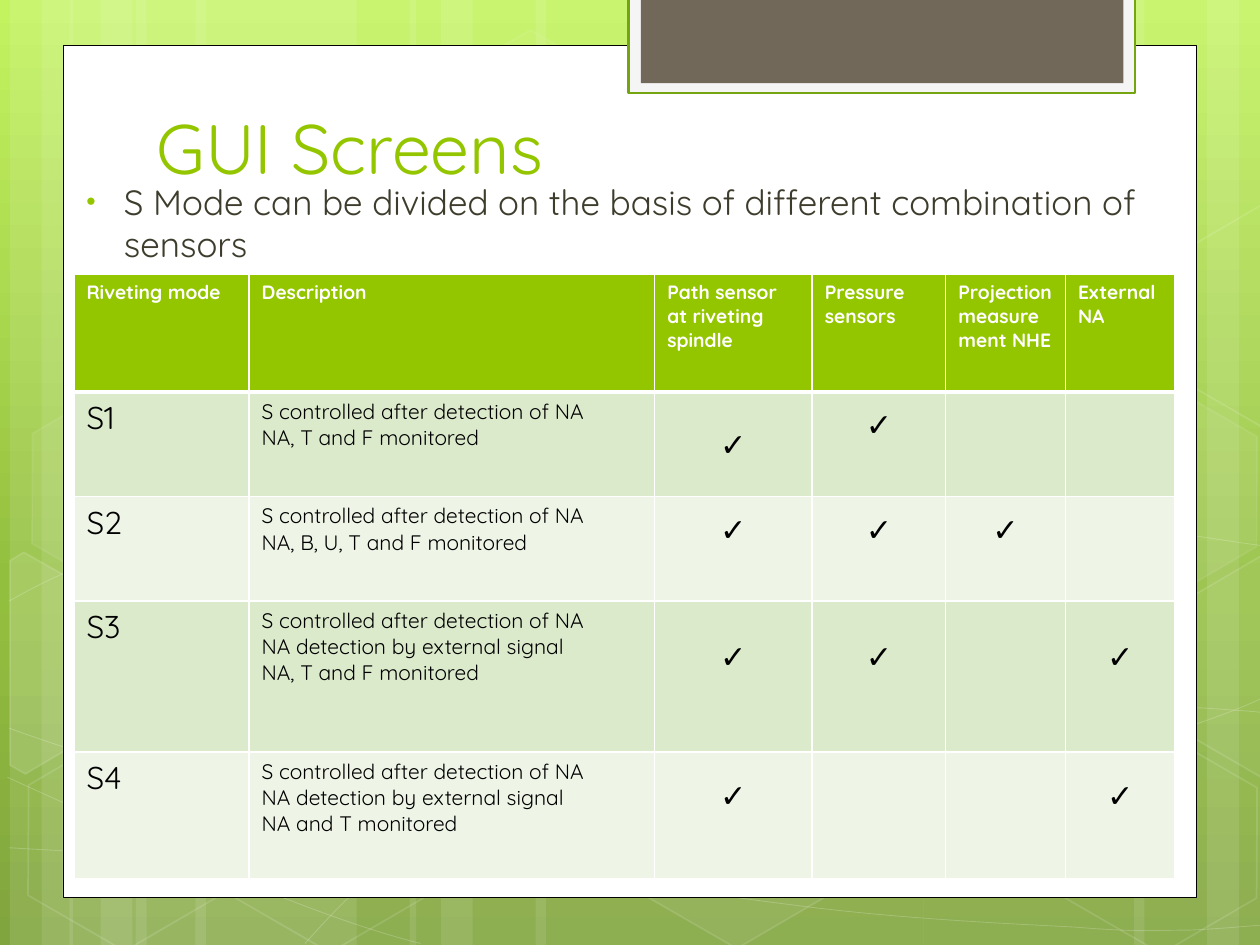
from copy import deepcopy
from math import cos, radians, sin

from lxml.etree import SubElement
from pptx import Presentation
from pptx.dml.color import RGBColor
from pptx.enum.shapes import MSO_SHAPE
from pptx.enum.text import MSO_ANCHOR, PP_ALIGN
from pptx.oxml.ns import qn
from pptx.util import Cm, Pt

FONT = "Quicksand"
GREEN = RGBColor(0x94, 0xC6, 0x00)
DARK_GREEN = RGBColor(0x74, 0xA5, 0x10)
WHITE = RGBColor(0xFF, 0xFF, 0xFF)
BLACK = RGBColor(0, 0, 0)
OFF_WHITE = RGBColor(0xF5, 0xF5, 0xF5)
TAUPE = RGBColor(0x71, 0x68, 0x5A)
INK = RGBColor(0x3E, 0x3D, 0x2D)
ROW_FILLS = RGBColor(0xDC, 0xEA, 0xCC), RGBColor(0xEE, 0xF5, 0xE7)
SKY = (RGBColor(0xC3, 0xF3, 0x5F), 0), (RGBColor(0x93, 0xBF, 0x3F), 0.62), (RGBColor(0x81, 0xA5, 0x3E), 1)

WIDTH, HEIGHT = 25.4, 19.05
TILT = 30
BAND_GROUPS = [
    [(2.74, 4.45), (0.2, 1.27), (0.84, 2.12)],
    [(3.94, 4.45), (1.4, 1.27), (2.03, 2.12)],
    [(18.62, 4.45), (24.33, 1.27), (22.86, 2.12)],
    [(10.8, 7.83), (8.26, 1.27), (8.89, 2.12)],
]
# Each curve is a start point followed by Bezier triples.
CURVES = [
    [(0.18, 17.09), (1.55, 17.17), (2.92, 17.25), (4.83, 17.22), (6.73, 17.2), (9.09, 17.15), (11.63, 16.89),
     (14.17, 16.64), (17.78, 16.15), (20.12, 15.67), (22.43, 15.19), (24.82, 14.43), (25.58, 14)],
    [(0.18, 12.12), (0.91, 11.71), (1.65, 11.33), (3.07, 10.95), (4.52, 10.57), (6.58, 10.01), (8.81, 9.83),
     (11.07, 9.65), (13.82, 9.63), (16.61, 9.83), (19.41, 10.03), (24.05, 10.82), (25.58, 11.02)],
    [(0.15, 15.67), (3.23, 17.07), (6.27, 18.47), (8.48, 19.02)],
    [(0.18, 14.68), (0.97, 14.96), (1.78, 15.24), (3.25, 15.65), (4.72, 16.03), (6.93, 16.66), (9.07, 17.09),
     (11.18, 17.53), (13.84, 17.98), (15.95, 18.24), (18.06, 18.52), (20.32, 18.62), (21.67, 18.69),
     (22.99, 18.8), (23.34, 18.75), (24, 18.75), (24.66, 18.72), (25.12, 18.67), (25.58, 18.64)],
    [(6.15, 19.02), (6.6, 18.52), (7.06, 18.01), (7.67, 17.55), (8.28, 17.09), (9.14, 16.59), (9.86, 16.23),
     (10.57, 15.88), (11, 15.72), (11.94, 15.47), (12.88, 15.21), (14.55, 14.86), (15.44, 14.68),
     (16.36, 14.5), (16.48, 14.5), (17.27, 14.45), (18.06, 14.38), (19.3, 14.3), (20.17, 14.27),
     (21.06, 14.25), (22.5, 14.27), (22.5, 14.27), (23.07, 14.27), (23.64, 14.27), (24.21, 14.27),
     (24.66, 14.3), (25.1, 14.33), (25.32, 14.35), (25.55, 14.38), (25.48, 14.35), (25.55, 14.38)],
]
# left, top, fill opacity, line opacity (percent)
HEXAGONS = [
    (8.48, 0.91, 4, 8), (12.62, 14.96, 6, 12), (0.28, 15.01, None, 12), (0.36, 7.92, 7, 8),
    (4.42, 15.04, None, 12), (19.13, 11.51, 10, 12), (21.18, 15.06, None, 12), (21.18, 7.98, 7, 8),
]
# Hexagons cut by the slide edge: corners as seen, and the centre they are tilted about
LEFT_CUT = [(0.2, 11.3), (0.48, 11.13), (2.44, 12.24), (2.41, 14.48), (0.51, 15.6), (0.2, 15.42)], (0.91, 13.59)
RIGHT_CUT = ([(23.52, 12.32), (25.43, 11.2), (25.63, 11.33), (25.63, 15.57), (25.45, 15.67), (23.52, 14.55)],
             (25.02, 13.21))

HEADERS = ["Riveting mode", "Description", "Path sensor at riveting spindle", "Pressure sensors",
           "Projection measurement NHE", "External NA"]
CONTROLLED = "S controlled after detection of NA"
EXTERNAL = "NA detection by external signal"
MODES = [  # name, description lines, columns with a check mark
    ("S1", [CONTROLLED, "NA, T and F monitored"], (2, 3)),
    ("S2", [CONTROLLED, "NA, B, U, T and F monitored"], (2, 3, 4)),
    ("S3", [CONTROLLED, EXTERNAL, "NA, T and F monitored"], (2, 3, 5)),
    ("S4", [CONTROLLED, EXTERNAL, "NA and T monitored"], (2, 5)),
]
COL_SHARES = [1.39, 3.22, 1.25, 1.06, 0.95, 0.87]
ROW_SHARES = [0.94, 0.83, 0.83, 1.2, 1.01]


def paint(fill, color, opacity=100):
    """Make a solid fill; opacity is in percent and None means no fill."""
    if opacity is None:
        fill.background()
        return
    fill.solid()
    fill.fore_color.rgb = color
    if opacity < 100:
        rgb = fill._xPr.find(qn("a:solidFill"))[0]
        SubElement(rgb, qn("a:alpha")).set("val", str(opacity * 1000))


def style(sp, color, opacity=100, line=None, width=1, line_opacity=100):
    sp.shadow.inherit = False
    paint(sp.fill, color, opacity)
    if line is None:
        sp.line.fill.background()
    else:
        sp.line.width = Pt(width)
        paint(sp.line.fill, line, line_opacity)


def add_box(s, box, color, kind=MSO_SHAPE.RECTANGLE, **look):
    sp = s.shapes.add_shape(kind, *map(Cm, box))
    style(sp, color, **look)
    return sp


def add_outline(s, points, close, **look):
    points = [(Cm(x), Cm(y)) for x, y in points]
    builder = s.shapes.build_freeform(*points[0])
    builder.add_line_segments(points[1:], close=close)
    sp = builder.convert_to_shape()
    style(sp, WHITE, line=WHITE, **look)
    return sp


def bend(sp):
    """Turn each three line segments into one Bezier curve."""
    path = next(sp._element.iter(qn("a:path")))
    lines = path.findall(qn("a:lnTo"))
    for i in range(0, len(lines), 3):
        curve = SubElement(path, qn("a:cubicBezTo"))
        for line in lines[i:i + 3]:
            curve.append(line[0])
            path.remove(line)


def turn_back(point, center):
    """Undo the tilt of a point about a centre."""
    dx, dy = point[0] - center[0], point[1] - center[1]
    c, k = cos(radians(TILT)), sin(radians(TILT))
    return center[0] + dx * c + dy * k, center[1] - dx * k + dy * c


def write(tf, lines, size, color, bold=False, align=None):
    for i, text in enumerate(lines):
        p = tf.paragraphs[0] if i == 0 else tf.add_paragraph()
        p.alignment = align
        r = p.add_run()
        r.text = text
        r.font.name, r.font.size, r.font.bold = FONT, Pt(size), bold
        r.font.color.rgb = color


def add_sky(s):
    fill = s.background.fill
    fill.gradient()
    fill.gradient_angle = 270
    first = fill.gradient_stops[0]._gs
    first.addnext(deepcopy(first))
    for stop, (color, position) in zip(fill.gradient_stops, SKY):
        stop.color.rgb = color
        stop.position = position


def add_decoration(s, box):
    x, y, _, h = box
    for left, width in (band for group in BAND_GROUPS for band in group):
        add_box(s, (x + left, y, width, h), WHITE, opacity=10)
    for nodes in CURVES:
        points = [(x + px, y + py) for px, py in nodes]
        bend(add_outline(s, points, False, opacity=None, width=0.5, line_opacity=20))
    for left, top, opacity, line_opacity in HEXAGONS:
        sp = add_box(s, (x + left, y + top, 4.45, 3.86), WHITE, MSO_SHAPE.HEXAGON,
                     opacity=opacity, line=WHITE, line_opacity=line_opacity)
        sp.adjustments[0], sp.adjustments[1] = 0.285, 1.155
        sp.rotation = TILT
    for (corners, center), rise, opacity in ((LEFT_CUT, 0, 10), (RIGHT_CUT, 0, 4), (RIGHT_CUT, 7.07, None)):
        flat = [turn_back(corner, center) for corner in corners]
        points = [(x + px, y + py - rise) for px, py in flat]
        add_outline(s, points, True, opacity=opacity, line_opacity=12).rotation = TILT


def add_panel(s, box):
    x, y, w, h = box
    add_box(s, box, WHITE, line=BLACK, width=0.5)
    add_box(s, (x + 11.4, y - 0.96, 10.21, 1.93), OFF_WHITE, line=DARK_GREEN, width=1.25)
    add_box(s, (x + 11.65, y - 0.96, 9.73, 1.73), TAUPE)


def place_title(s, box, text):
    title = s.shapes.title
    s.shapes._spTree.append(title._element)  # in front of the panel
    title.left, title.top, title.width, title.height = map(Cm, box)
    tf = title.text_frame
    tf.vertical_anchor = MSO_ANCHOR.BOTTOM
    write(tf, [text], 40, GREEN, align=PP_ALIGN.LEFT)


def add_bullet_text(s, box, text):
    tf = s.shapes.add_textbox(*map(Cm, box)).text_frame
    tf.word_wrap = True
    write(tf, [text], 20, INK)
    pPr = tf.paragraphs[0]._p.get_or_add_pPr()
    pPr.set("marL", str(Cm(0.97)))
    pPr.set("indent", str(-Cm(0.76)))
    SubElement(SubElement(pPr, qn("a:buClr")), qn("a:srgbClr")).set("val", str(GREEN))
    SubElement(pPr, qn("a:buSzPct")).set("val", "76000")
    SubElement(pPr, qn("a:buFont")).set("typeface", "Arial")
    SubElement(pPr, qn("a:buChar")).set("char", "•")


def finish_cell(cell, color, bottom=1):
    """Give the cell white borders and a solid fill."""
    tcPr = cell._tc.get_or_add_tcPr()
    for side, width in (("L", 1), ("R", 1), ("T", 1), ("B", bottom)):
        ln = SubElement(tcPr, qn(f"a:ln{side}"), w=str(Pt(width)))
        SubElement(SubElement(ln, qn("a:solidFill")), qn("a:srgbClr")).set("val", str(WHITE))
    paint(cell.fill, color)


def add_mode_table(s, box):
    table = s.shapes.add_table(len(ROW_SHARES), len(COL_SHARES), *map(Cm, box)).table
    for col, share in zip(table.columns, COL_SHARES):
        col.width = Cm(box[2] * share / sum(COL_SHARES))
    for row, share in zip(table.rows, ROW_SHARES):
        row.height = Cm(box[3] * share / sum(ROW_SHARES))
    for c, text in enumerate(HEADERS):
        write(table.cell(0, c).text_frame, [text], 11, WHITE, bold=True)
        finish_cell(table.cell(0, c), GREEN, bottom=3)
    for i, (name, lines, checks) in enumerate(MODES, 1):
        write(table.cell(i, 0).text_frame, [name], 18, BLACK)
        write(table.cell(i, 1).text_frame, lines, 12, BLACK)
        for c in checks:
            cell = table.cell(i, c)
            write(cell.text_frame, ["✓"], 18, BLACK, align=PP_ALIGN.CENTER)
            cell.vertical_anchor = MSO_ANCHOR.MIDDLE
            if (i, c) != (1, 2):
                cell.margin_bottom = Cm(0.9)  # lifts the mark above the middle
        for c in range(len(HEADERS)):
            finish_cell(table.cell(i, c), ROW_FILLS[(i - 1) % 2])


def main():
    prs = Presentation()
    prs.slide_width, prs.slide_height = Cm(WIDTH), Cm(HEIGHT)
    s = prs.slides.add_slide(prs.slide_layouts[5])
    add_sky(s)
    add_decoration(s, (0, 0, WIDTH, HEIGHT))
    add_panel(s, (1.27, 0.91, 22.86, 17.19))
    place_title(s, (2.9, 0.75, 19.5, 3.18), "GUI Screens")
    add_mode_table(s, (1.49, 5.52, 22.2, 12.2))
    add_bullet_text(s, (1.28, 3.52, 22.4, 4.6),
                    "S Mode can be divided on the basis of different combination of sensors")
    prs.save("out.pptx")


if __name__ == "__main__":
    main()
